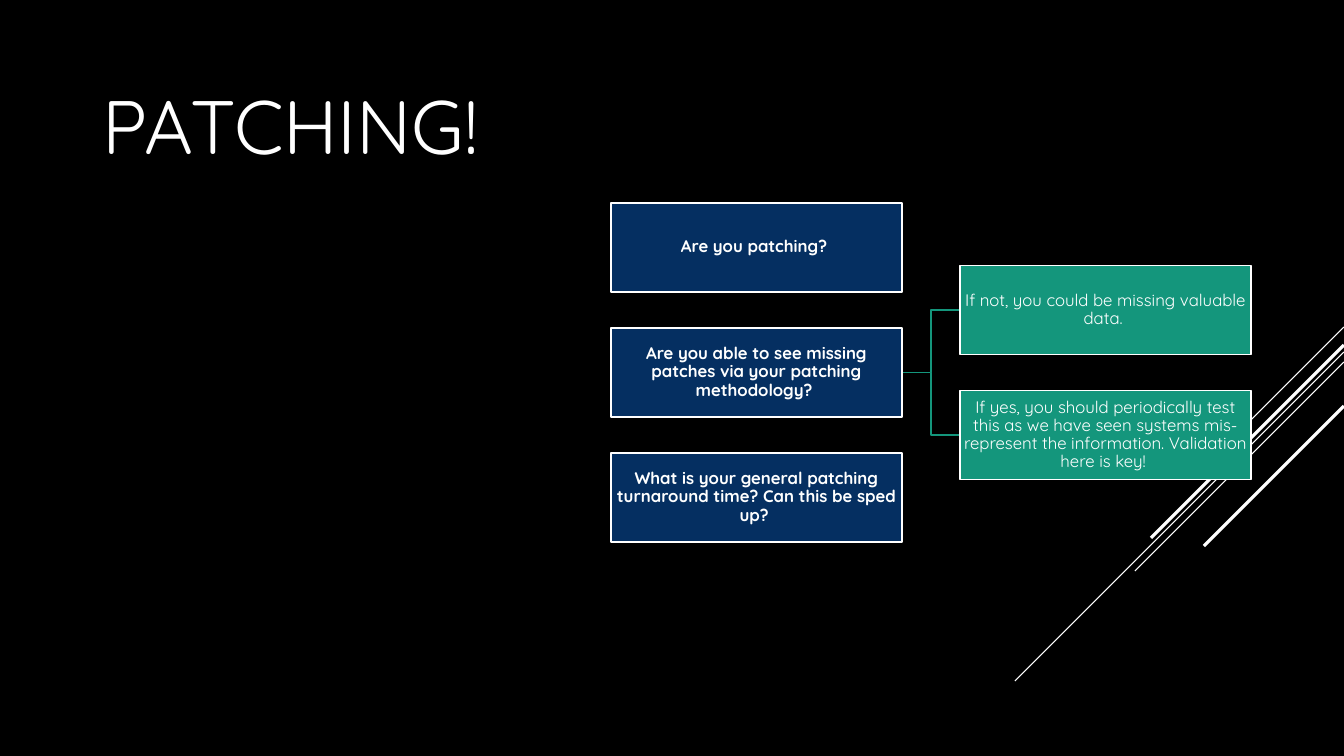
from lxml.etree import SubElement
from pptx import Presentation
from pptx.dml.color import RGBColor
from pptx.enum.shapes import MSO_CONNECTOR, MSO_SHAPE
from pptx.enum.text import MSO_ANCHOR, PP_ALIGN
from pptx.oxml.ns import qn
from pptx.util import Emu, Pt

EMU_PER_PX = 12192000 / 1344
FONT = "Quicksand"
COLORS = {"black": "000000", "white": "FFFFFF", "navy": "052F61", "green": "14967C"}
BOX_W, BOX_H, ROW_PITCH, COLUMN_PITCH = 291, 89, 125, 349

QUESTIONS = [
    "Are you patching? ",
    "Are you able to see missing patches via your patching methodology? ",
    "What is your general patching turnaround time? Can this be sped up? ",
]
ANSWERS = [
    "If not, you could be missing valuable data. ",
    "If yes, you should periodically test this as we have seen systems "
    "mis-represent the information. Validation here is key! ",
]
STREAKS = [(327, 101, 0.75), (352, 329, 0.75), (362, 209, 0.75),
           (345, 193, 2.25), (406, 140, 2.25)]


def px(length):
    """Turn pixels into EMU."""
    return Emu(round(length * EMU_PER_PX))


def color(name):
    """Look up a named colour."""
    return RGBColor.from_string(COLORS[name])


def set_line(shape, name, width):
    """Give a shape or connector a solid line."""
    shape.line.color.rgb = color(name)
    shape.line.width = Pt(width)


def format_text(paragraph, size, bold=False):
    """Format every run of a paragraph in white."""
    for run in paragraph.runs:
        run.font.name = FONT
        run.font.size = Pt(size)
        run.font.bold = bold
        run.font.color.rgb = color("white")


def add_streaks(slide, right):
    """Draw the diagonal streaks running down from the right edge."""
    for top, reach, width in STREAKS:
        streak = slide.shapes.add_connector(
            MSO_CONNECTOR.STRAIGHT, px(right), px(top), px(right - reach), px(top + reach))
        set_line(streak, "white", width)
        SubElement(streak._element.spPr, qn("a:effectLst"))


def add_title(slide, left, top, width, height):
    """Place the slide heading."""
    heading = slide.shapes.add_textbox(px(left), px(top), px(width), px(height)).text_frame
    heading.word_wrap = True
    heading.text = "PATCHING!"
    format_text(heading.paragraphs[0], 54)


def add_card(slide, left, top, text, fill, bold):
    """Place one filled box with centred text."""
    card = slide.shapes.add_shape(
        MSO_SHAPE.RECTANGLE, px(left), px(top), px(BOX_W), px(BOX_H))
    card.shadow.inherit = False
    card.fill.solid()
    card.fill.fore_color.rgb = color(fill)
    set_line(card, "white", 1.25)
    frame = card.text_frame
    frame.word_wrap = True
    frame.vertical_anchor = MSO_ANCHOR.MIDDLE
    frame.margin_left = frame.margin_right = px(1)
    frame.margin_top = frame.margin_bottom = px(1)
    frame.text = text
    paragraph = frame.paragraphs[0]
    paragraph.alignment = PP_ALIGN.CENTER
    paragraph.line_spacing = 0.9
    format_text(paragraph, 12, bold)


def add_branch(slide, left, start, right, end):
    """Draw an elbow from a question to an answer."""
    middle = (left + right) / 2
    builder = slide.shapes.build_freeform(px(left), px(start))
    builder.add_line_segments(
        [(px(middle), px(start)), (px(middle), px(end)), (px(right), px(end))], close=False)
    branch = builder.convert_to_shape()
    branch.shadow.inherit = False
    branch.fill.background()
    set_line(branch, "green", 1.25)


def add_tree(slide, left, top):
    """Place the questions and the answers branching from the second one."""
    answer_left, answer_top = left + COLUMN_PITCH, top + ROW_PITCH / 2
    start = top + ROW_PITCH + BOX_H / 2
    for row in range(len(ANSWERS)):
        end = answer_top + row * ROW_PITCH + BOX_H / 2
        add_branch(slide, left + BOX_W, start, answer_left, end)
    for row, question in enumerate(QUESTIONS):
        add_card(slide, left, top + row * ROW_PITCH, question, "navy", True)
    for row, answer in enumerate(ANSWERS):
        add_card(slide, answer_left, answer_top + row * ROW_PITCH, answer, "green", False)


def main():
    """Build and save the patching slide."""
    deck = Presentation()
    deck.slide_width, deck.slide_height = px(1344), px(756)
    slide = deck.slides.add_slide(deck.slide_layouts[6])
    slide.background.fill.solid()
    slide.background.fill.fore_color.rgb = color("black")
    add_streaks(slide, 1344)
    add_title(slide, 93, 74, 501, 224)
    add_tree(slide, 611, 203)
    deck.save("out.pptx")


if __name__ == "__main__":
    main()
